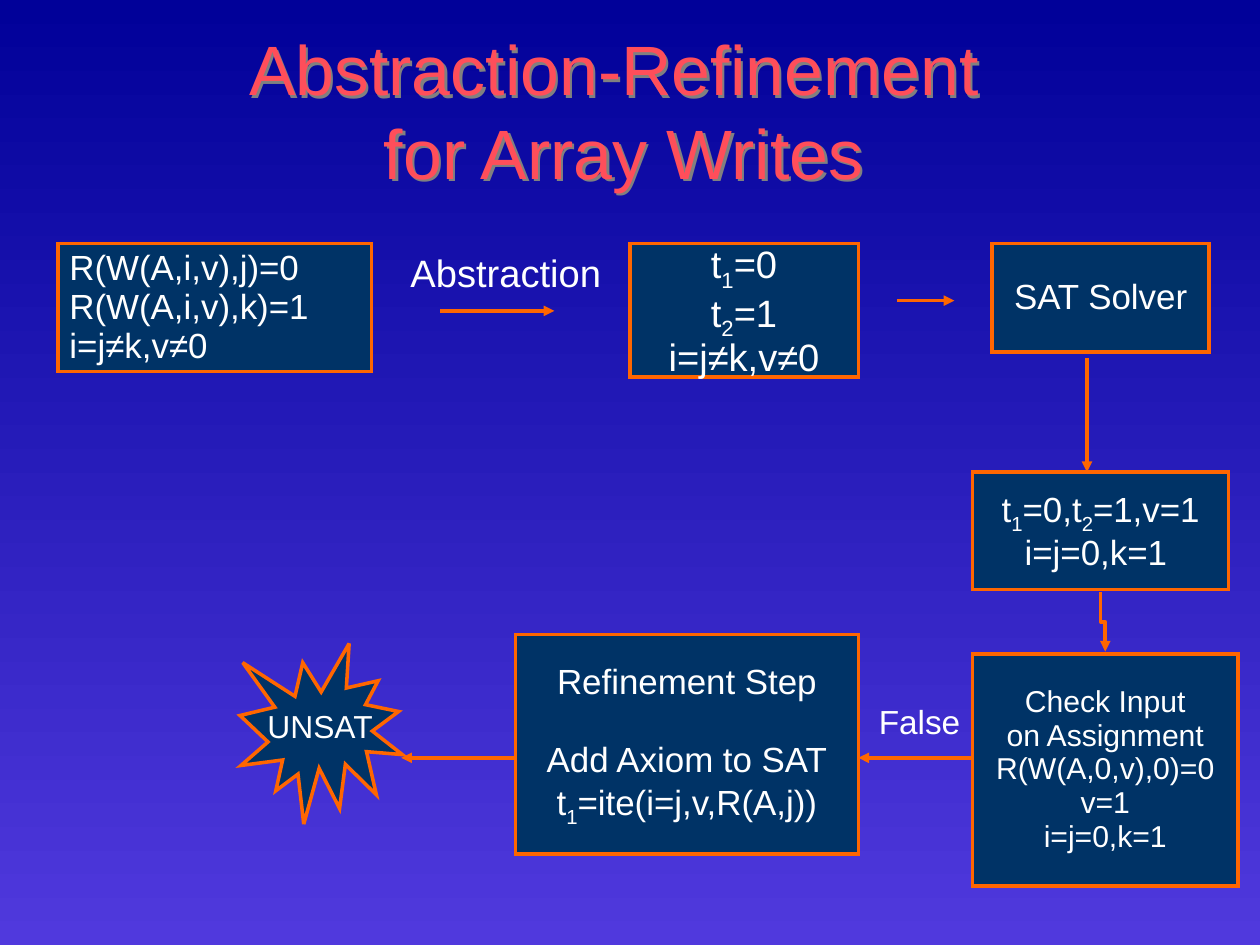
from lxml import etree
from pptx import Presentation
from pptx.dml.color import RGBColor
from pptx.enum.shapes import MSO_CONNECTOR, MSO_SHAPE
from pptx.enum.text import MSO_ANCHOR, PP_ALIGN
from pptx.oxml.ns import qn
from pptx.util import Inches, Pt

RECT, BURST = MSO_SHAPE.RECTANGLE, MSO_SHAPE.EXPLOSION1
LINE, ELBOW = MSO_CONNECTOR.STRAIGHT, MSO_CONNECTOR.ELBOW
LEFT, MID = PP_ALIGN.LEFT, PP_ALIGN.CENTER
CENTRE = MSO_ANCHOR.MIDDLE

FONT, SERIF = "Arial", "Times New Roman"
HEX = {"top": "010199", "foot": "5039DD", "title": "FF4E5A",
       "box": "003366", "edge": "FF6600", "text": "FFFFFF", "shade": "808080"}


def rgb(name):
    return RGBColor.from_string(HEX[name])


def add_run(para, text, size, color="text", sub=False, font=FONT):
    run = para.add_run()
    run.text = text
    run.font.size = Pt(size)
    run.font.name = font
    run.font.color.rgb = rgb(color)
    if sub:
        run.font._element.set("baseline", "-25000")


def write(frame, lines, size, align=MID):
    """One paragraph per line; the letter after "_" is a subscript."""
    frame.word_wrap = False
    for num, line in enumerate(lines):
        para = frame.add_paragraph() if num else frame.paragraphs[0]
        para.alignment = align
        para.line_spacing = 0.93
        head, *rest = line.split("_")
        add_run(para, head, size)
        for part in rest:
            add_run(para, part[0], size, sub=True)
            add_run(para, part[1:], size)


def draw_edge(line, tag, **attrs):
    """Orange line, ending with its join or arrowhead element."""
    line.color.rgb = rgb("edge")
    line.width = Pt(2.25)
    etree.SubElement(line._get_or_add_ln(), qn(tag), **attrs)


def add_box(slide, place, lines, size, align=MID, kind=RECT):
    box = slide.shapes.add_shape(kind, *map(Inches, place))
    box.shadow.inherit = False
    box.fill.solid()
    box.fill.fore_color.rgb = rgb("box")
    draw_edge(box.line, "a:miter", lim="800000")
    box.text_frame.vertical_anchor = CENTRE
    write(box.text_frame, lines, size, align)
    return box


def add_label(slide, place, text, size):
    label = slide.shapes.add_textbox(*map(Inches, place))
    write(label.text_frame, [text], size)


def add_arrow(slide, ends, kind=LINE):
    arrow = slide.shapes.add_connector(kind, *map(Inches, ends))
    draw_edge(arrow.line, "a:tailEnd", type="triangle")
    etree.SubElement(arrow._element.spPr, qn("a:effectLst"))
    return arrow


def add_shade(shape):
    """Without a fill, the shadow falls from the letters."""
    shape.fill.background()
    effects = etree.SubElement(shape._element.spPr, qn("a:effectLst"))
    shade = etree.SubElement(effects, qn("a:outerShdw"), dist="25400", dir="2700000")
    etree.SubElement(shade, qn("a:srgbClr"), val=HEX["shade"])


def set_title(slide, lines):
    title = slide.shapes.title
    title.left, title.top, title.width, title.height = map(
        Inches, (0.25, 0.25, 10.42, 1.42))
    add_shade(title)
    frame = title.text_frame
    frame.word_wrap = True
    frame.vertical_anchor = CENTRE
    para = frame.paragraphs[0]
    para.alignment = MID
    for num, line in enumerate(lines):
        if num:
            para.add_line_break()
        add_run(para, line, 44, "title")


def set_back(slide):
    fill = slide.background.fill
    fill.gradient()
    fill.gradient_angle = 270
    for stop, name, pos in zip(fill.gradient_stops, ("top", "foot"), (0, 1)):
        stop.color.rgb = rgb(name)
        stop.position = pos


def main():
    prs = Presentation()
    # 28 by 21 centimetres
    prs.slide_width, prs.slide_height = Inches(28 / 2.54), Inches(21 / 2.54)
    slide = prs.slides.add_slide(prs.slide_layouts[5])
    set_back(slide)
    set_title(slide, ["Abstraction-Refinement ", "for Array Writes"])

    # Top row: formula, abstraction, solver
    add_box(slide, (0.51, 2.13, 2.74, 1.12),
            ["R(W(A,i,v),j)=0", "R(W(A,i,v),k)=1", "i=j≠k,v≠0"], 22, LEFT)
    add_arrow(slide, (3.85, 2.72, 4.85, 2.72))
    add_label(slide, (3.49, 2.17, 1.87, 0.47), "Abstraction", 24)
    add_box(slide, (5.51, 2.13, 2, 1.17), ["t_1=0", "t_2=1", "i=j≠k,v≠0"], 24)
    add_arrow(slide, (7.85, 2.63, 8.35, 2.63))
    add_box(slide, (8.68, 2.13, 1.9, 0.95), ["SAT Solver"], 22)

    # Right column: assignment and check
    model = add_box(slide, (8.51, 4.13, 2.24, 1.03),
                    ["t_1=0,t_2=1,v=1", "i=j=0,k=1"], 22)
    add_run(model.text_frame.paragraphs[1], " ", 24, font=SERIF)
    add_arrow(slide, (9.51, 3.13, 9.51, 4.13))
    add_box(slide, (8.51, 5.72, 2.32, 2.03),
            ["Check Input", "on Assignment", "R(W(A,0,v),0)=0", "v=1", "i=j=0,k=1"], 19)
    # The elbow is laid flat, then turned to run downwards
    bend = add_arrow(slide, (9.91, 5.42, 9.39, 5.46), ELBOW)
    bend._element.spPr.find(qn("a:xfrm")).set("rot", str(270 * 60000))

    # Bottom row: refinement and result
    add_arrow(slide, (8.51, 6.63, 7.51, 6.63))
    add_label(slide, (7.59, 6.12, 0.91, 0.43), "False", 21)
    step = add_box(slide, (4.51, 5.55, 3, 1.92),
                   ["Refinement Step", "Add Axiom to SAT", "t_1=ite(i=j,v,R(A,j))"], 22)
    step.text_frame.paragraphs[1].space_before = Pt(25)
    add_arrow(slide, (4.51, 6.63, 3.51, 6.63))
    add_box(slide, (2.1, 5.63, 1.42, 1.58), ["UNSAT"], 20, kind=BURST)

    prs.save("out.pptx")


if __name__ == "__main__":
    main()
